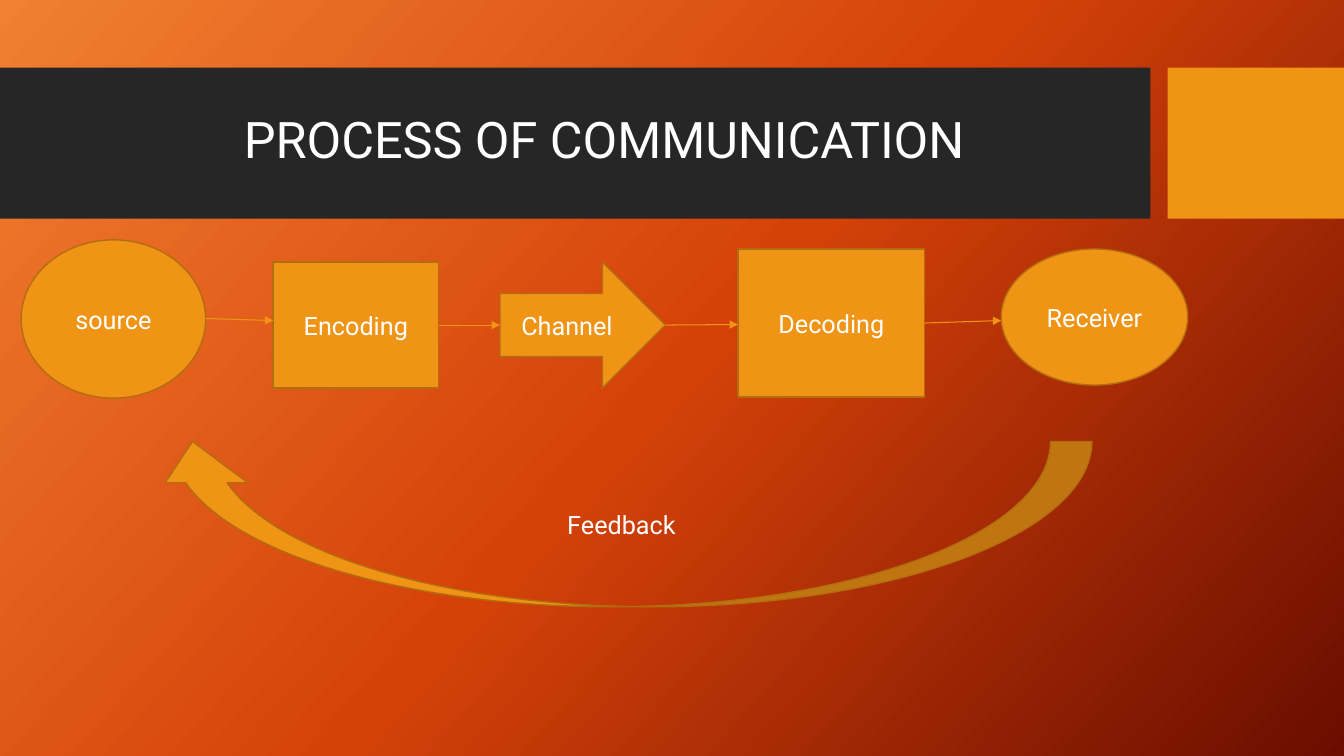
from lxml import etree
from pptx import Presentation
from pptx import util as u
from pptx.dml.color import RGBColor
from pptx.enum import shapes, text
from pptx.oxml.ns import qn

COLOURS = {
    "band": "262626",
    "accent": "F09415",
    "edge": "B26D10",
    "text": "FFFFFF",
}
BACKGROUND = [(0, "F18031"), (50, "D54209"), (100, "6A0D00")]
KINDS = shapes.MSO_SHAPE
LEFT, RIGHT = 1, 3

deck = Presentation()
deck.slide_width, deck.slide_height = u.Inches(13.33), u.Inches(7.5)
page = deck.slides.add_slide(deck.slide_layouts[5])


def add_block(kind, frame, fill, edge=None):
    """Add a shadowless filled shape; frame is left, top, width, height in inches."""
    block = page.shapes.add_shape(kind, *[u.Inches(length) for length in frame])
    block.shadow.inherit = False
    block.fill.solid()
    block.fill.fore_color.rgb = RGBColor.from_string(COLOURS[fill])
    if edge:
        block.line.color.rgb = RGBColor.from_string(COLOURS[edge])
        block.line.width = u.Pt(1)
    else:
        block.line.fill.background()
    return block


def write(box, words, size):
    """Put one centred line of text in the middle of a box."""
    box.text_frame.word_wrap = True
    box.text_frame.vertical_anchor = text.MSO_ANCHOR.MIDDLE
    para = box.text_frame.paragraphs[0]
    para.alignment = text.PP_ALIGN.CENTER
    span = para.add_run()
    span.text = words
    span.font.name = "Roboto"
    span.font.size = u.Pt(size)
    span.font.color.rgb = RGBColor.from_string(COLOURS["text"])
    return para


# Background gradient
backdrop = page.background.fill
backdrop.gradient()
backdrop.gradient_angle = 360 - 42
stops = page.background._cSld.find(".//" + qn("a:gsLst"))
for stop in list(stops):
    stops.remove(stop)
for percent, colour in BACKGROUND:
    stop = etree.SubElement(stops, qn("a:gs"), pos=str(percent * 1000))
    etree.SubElement(stop, qn("a:srgbClr"), val=colour)

# Title band
add_block(KINDS.RECTANGLE, (0, 0.67, 11.41, 1.5), "band")
add_block(KINDS.RECTANGLE, (11.58, 0.67, 1.75, 1.5), "accent")
title = page.shapes.title
title.left, title.top = u.Inches(0.74), u.Inches(0.82)
title.width, title.height = u.Inches(10.51), u.Inches(1.18)
write(title, "PROCESS OF COMMUNICATION", 36).line_spacing = 0.9
page.shapes.element.append(title.element)  # bring in front of the band

# Stages of the process
STAGES = [
    ("source", KINDS.OVAL, (0.21, 2.38, 1.83, 1.57)),
    ("Encoding", KINDS.RECTANGLE, (2.71, 2.6, 1.64, 1.25)),
    ("Channel", KINDS.RIGHT_ARROW, (4.96, 2.6, 1.64, 1.25)),
    ("Decoding", KINDS.RECTANGLE, (7.32, 2.47, 1.85, 1.47)),
    ("Receiver", KINDS.OVAL, (9.93, 2.47, 1.85, 1.35)),
    ("Feedback", KINDS.CURVED_UP_ARROW, (1.5, 4.38, 9.33, 1.64)),
]
stages = {}
for name, kind, frame in STAGES:
    stages[name] = add_block(kind, frame, "accent", "edge")
    write(stages[name], name, 18)
stages["Feedback"].element.spPr.find(qn("a:xfrm")).set("flipH", "1")

# Arrows between stages: start stage, start y, end stage, end y, joined ends
LINKS = [
    ("source", 3.16, "Encoding", 3.18, ""),
    ("Encoding", 3.22, "Channel", 3.22, "begin end"),
    ("Channel", 3.22, "Decoding", 3.22, "begin"),
    ("Decoding", 3.21, "Receiver", 3.18, "begin"),
]
for start, start_y, end, end_y, joined in LINKS:
    origin, target = stages[start], stages[end]
    link = page.shapes.add_connector(
        shapes.MSO_CONNECTOR.STRAIGHT,
        origin.left + origin.width, u.Inches(start_y),
        target.left, u.Inches(end_y))
    if "begin" in joined:
        link.begin_connect(origin, RIGHT)
    if "end" in joined:
        link.end_connect(target, LEFT)
    link.line.color.rgb = RGBColor.from_string(COLOURS["accent"])
    link.line.width = u.Pt(0.75)
    etree.SubElement(link.line._get_or_add_ln(), qn("a:tailEnd"), type="triangle")
    etree.SubElement(link.element.spPr, qn("a:effectLst"))

deck.save("out.pptx")
